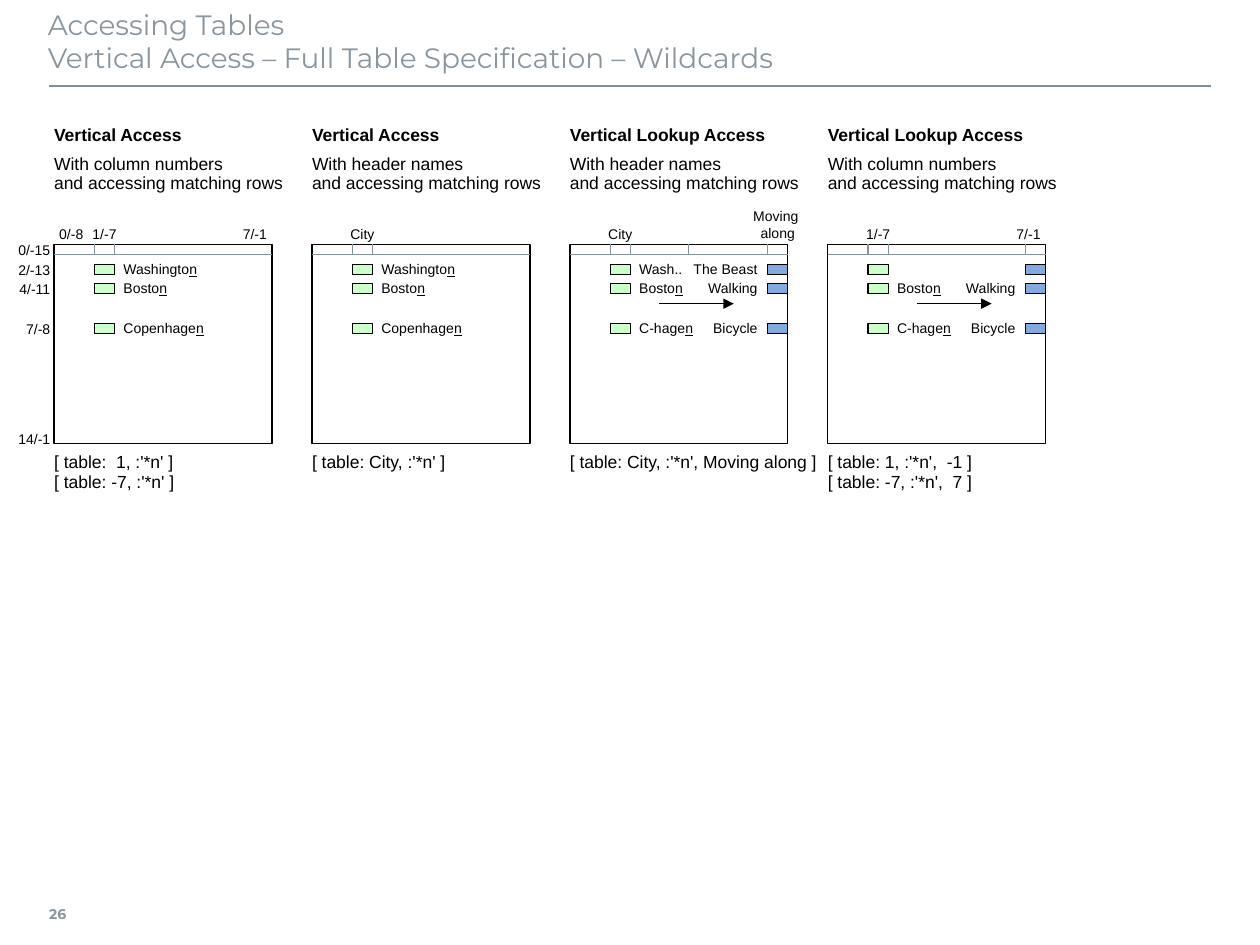
"""Build a slide comparing four ways of vertical table access with wildcards."""
from dataclasses import dataclass

from lxml.etree import SubElement
from pptx import Presentation
from pptx.dml.color import RGBColor
from pptx.enum.shapes import MSO_CONNECTOR, MSO_SHAPE
from pptx.enum.text import MSO_ANCHOR, PP_ALIGN
from pptx.oxml.ns import qn
from pptx.util import Inches, Pt

BLACK = RGBColor(0x00, 0x00, 0x00)
HEADING_GRAY = RGBColor(0x89, 0x96, 0xA0)
RULE_GRAY = RGBColor(0x80, 0x8D, 0x97)
GRID_GRAY = RGBColor(0x85, 0x93, 0x9D)
KEY_GREEN = RGBColor(0xCC, 0xFF, 0xCC)
VALUE_BLUE = RGBColor(0x83, 0xAA, 0xDE)

FIRST_LEFT, LAST_LEFT = 0.43, 6.57
TABLE_TOP, TABLE_WIDTH, TABLE_HEIGHT = 1.94, 1.73, 1.58
CELL_WIDTH, CELL_HEIGHT = 0.16, 0.08
KEY_OFFSET, VALUE_OFFSET = 0.32, 1.57
ROW_TOPS = (2.10, 2.25, 2.57)
TEXT_WIDTH, LABEL_WIDTH, HEADER_WIDTH = 2.04, 0.70, 0.50
LABEL_INSETS = (0.04, 0.04, 0.04, 0.04)


@dataclass
class Access:
    title: str
    method: str
    key_header: str
    keys: tuple
    commands: tuple
    values: tuple = ()
    ticks: tuple = ()


ACCESSES = (
    Access("Vertical Access", "With column numbers", "1/-7",
           ("Washington", "Boston", "Copenhagen"),
           ("[ table:  1, :'*n' ]", "[ table: -7, :'*n' ]")),
    Access("Vertical Access", "With header names", "City",
           ("Washington", "Boston", "Copenhagen"),
           ("[ table: City, :'*n' ]",)),
    Access("Vertical Lookup Access", "With header names", "City",
           ("Wash..", "Boston", "C-hagen"),
           ("[ table: City, :'*n', Moving along ]",),
           ("The Beast", "Walking", "Bicycle"), (0.94, VALUE_OFFSET)),
    Access("Vertical Lookup Access", "With column numbers", "1/-7",
           ("", "Boston", "C-hagen"),
           ("[ table: 1, :'*n',  -1 ]", "[ table: -7, :'*n',  7 ]"),
           ("", "Walking", "Bicycle"), (VALUE_OFFSET,)),
)


def add_text(slide, box, lines, size=8, font="Arial", color=BLACK, bold=False,
             align=PP_ALIGN.LEFT, anchor=MSO_ANCHOR.MIDDLE,
             insets=(0, 0, 0, 0), spacing=None, wrap=False):
    frame = slide.shapes.add_textbox(*map(Inches, box)).text_frame
    frame.word_wrap = wrap
    frame.vertical_anchor = anchor
    (frame.margin_left, frame.margin_top,
     frame.margin_right, frame.margin_bottom) = map(Inches, insets)
    frame.text = "\n".join(lines)
    for paragraph in frame.paragraphs:
        paragraph.alignment = align
        paragraph.line_spacing = spacing
        for run in paragraph.runs:
            style_run(run, size, font, color, bold)
    return frame


def style_run(run, size, font, color, bold=False):
    run.font.size = Pt(size)
    run.font.name = font
    run.font.color.rgb = color
    run.font.bold = bold


def add_line(slide, start, end, color=GRID_GRAY, width=0.75, arrow=False):
    line = slide.shapes.add_connector(
        MSO_CONNECTOR.STRAIGHT, *map(Inches, (*start, *end)))
    line.line.color.rgb = color
    line.line.width = Pt(width)
    if arrow:
        SubElement(line.line._get_or_add_ln(), qn("a:tailEnd"), type="triangle")
    SubElement(line._element.spPr, qn("a:effectLst"))


def add_box(slide, box, fill=None):
    rect = slide.shapes.add_shape(MSO_SHAPE.RECTANGLE, *map(Inches, box))
    rect.shadow.inherit = False
    if fill is None:
        rect.fill.background()
    else:
        rect.fill.solid()
        rect.fill.fore_color.rgb = fill
    rect.line.color.rgb = BLACK
    rect.line.width = Pt(0.75)


def aligned_left(edge, span, width, align):
    """Return the left of a box of this width, aligned within the span."""
    shares = {PP_ALIGN.LEFT: 0, PP_ALIGN.CENTER: 0.5, PP_ALIGN.RIGHT: 1}
    return edge + (span - width) * shares[align]


def add_cell_caption(slide, edge, top, height, lines, align):
    left = aligned_left(edge, CELL_WIDTH, HEADER_WIDTH, align)
    add_text(slide, (left, top, HEADER_WIDTH, height), lines,
             align=align, insets=LABEL_INSETS)


def add_header_label(slide, edge, lines, align=PP_ALIGN.CENTER, top=1.78):
    add_cell_caption(slide, edge, top, 0.16, lines, align)


def add_cell_label(slide, edge, row_top, label, align=PP_ALIGN.LEFT):
    if not label:
        return
    matched = label.endswith("n")
    left = aligned_left(edge, 0.39, LABEL_WIDTH, align)
    frame = add_text(slide, (left, row_top - 0.08, LABEL_WIDTH, 0.24),
                     [label[:-1] if matched else label],
                     align=align, spacing=0.95)
    if matched:
        ending = frame.paragraphs[0].add_run()
        ending.text = "n"
        style_run(ending, 8, "Arial", BLACK)
        ending.font.underline = True


def add_access(slide, left, access):
    add_text(slide, (left, 0.99, TEXT_WIDTH, 0.16), [access.title], size=10, bold=True)
    add_text(slide, (left, 1.23, TEXT_WIDTH, 0.39),
             [access.method, "and accessing matching rows"],
             size=10, anchor=MSO_ANCHOR.TOP, spacing=0.9)
    add_text(slide, (left, 3.59, TEXT_WIDTH, 0.55), access.commands,
             size=10, anchor=MSO_ANCHOR.TOP, spacing=0.95)

    add_box(slide, (left, TABLE_TOP, TABLE_WIDTH, TABLE_HEIGHT))
    header_bottom = TABLE_TOP + CELL_HEIGHT
    add_line(slide, (left, header_bottom), (left + TABLE_WIDTH, header_bottom))
    for tick in (KEY_OFFSET, KEY_OFFSET + CELL_WIDTH, *access.ticks):
        add_line(slide, (left + tick, TABLE_TOP), (left + tick, header_bottom))
    add_header_label(slide, left + KEY_OFFSET, [access.key_header])

    for row_top, key in zip(ROW_TOPS, access.keys):
        add_box(slide, (left + KEY_OFFSET, row_top, CELL_WIDTH, CELL_HEIGHT), KEY_GREEN)
        add_cell_label(slide, left + 0.55, row_top, key)
    for row_top, value in zip(ROW_TOPS, access.values):
        add_box(slide, (left + VALUE_OFFSET, row_top, CELL_WIDTH, CELL_HEIGHT), VALUE_BLUE)
        add_cell_label(slide, left + 1.10, row_top, value, PP_ALIGN.RIGHT)
    if access.values:
        add_line(slide, (left + 0.71, 2.41), (left + 1.30, 2.41), BLACK, arrow=True)


def main():
    deck = Presentation()
    deck.slide_width, deck.slide_height = Inches(10), Inches(7.5)
    slide = deck.slides.add_slide(deck.slide_layouts[6])

    add_line(slide, (0.39, 0.68), (9.61, 0.68), RULE_GRAY, 1)
    add_text(slide, (0.38, 0.01, 9.21, 0.63),
             ["Accessing Tables\vVertical Access – Full Table Specification – Wildcards"],
             size=16, font="Montserrat", color=HEADING_GRAY,
             anchor=MSO_ANCHOR.TOP, insets=(0, 0.05, 0.1, 0.05), wrap=True)
    add_text(slide, (0.39, 7.06, 0.35, 0.39), ["26"], font="Montserrat",
             color=HEADING_GRAY, bold=True, insets=(0, 0.05, 0.08, 0.05))

    pitch = (LAST_LEFT - FIRST_LEFT) / (len(ACCESSES) - 1)
    lefts = [FIRST_LEFT + pitch * position for position in range(len(ACCESSES))]
    for left, access in zip(lefts, ACCESSES):
        add_access(slide, left, access)

    add_header_label(slide, FIRST_LEFT, ["0/-8"], PP_ALIGN.LEFT)
    for left in (lefts[0], lefts[3]):
        add_header_label(slide, left + VALUE_OFFSET, ["7/-1"], PP_ALIGN.RIGHT)
    add_header_label(slide, lefts[2] + VALUE_OFFSET, ["Moving ", "along"], top=1.70)
    row_numbers = ("0/-15", "2/-13", "4/-11", "7/-8", "14/-1")
    for top, number in zip((TABLE_TOP, *ROW_TOPS, 3.44), row_numbers):
        add_cell_caption(slide, 0.28, top, CELL_HEIGHT, [number], PP_ALIGN.RIGHT)

    deck.save("out.pptx")


if __name__ == "__main__":
    main()
